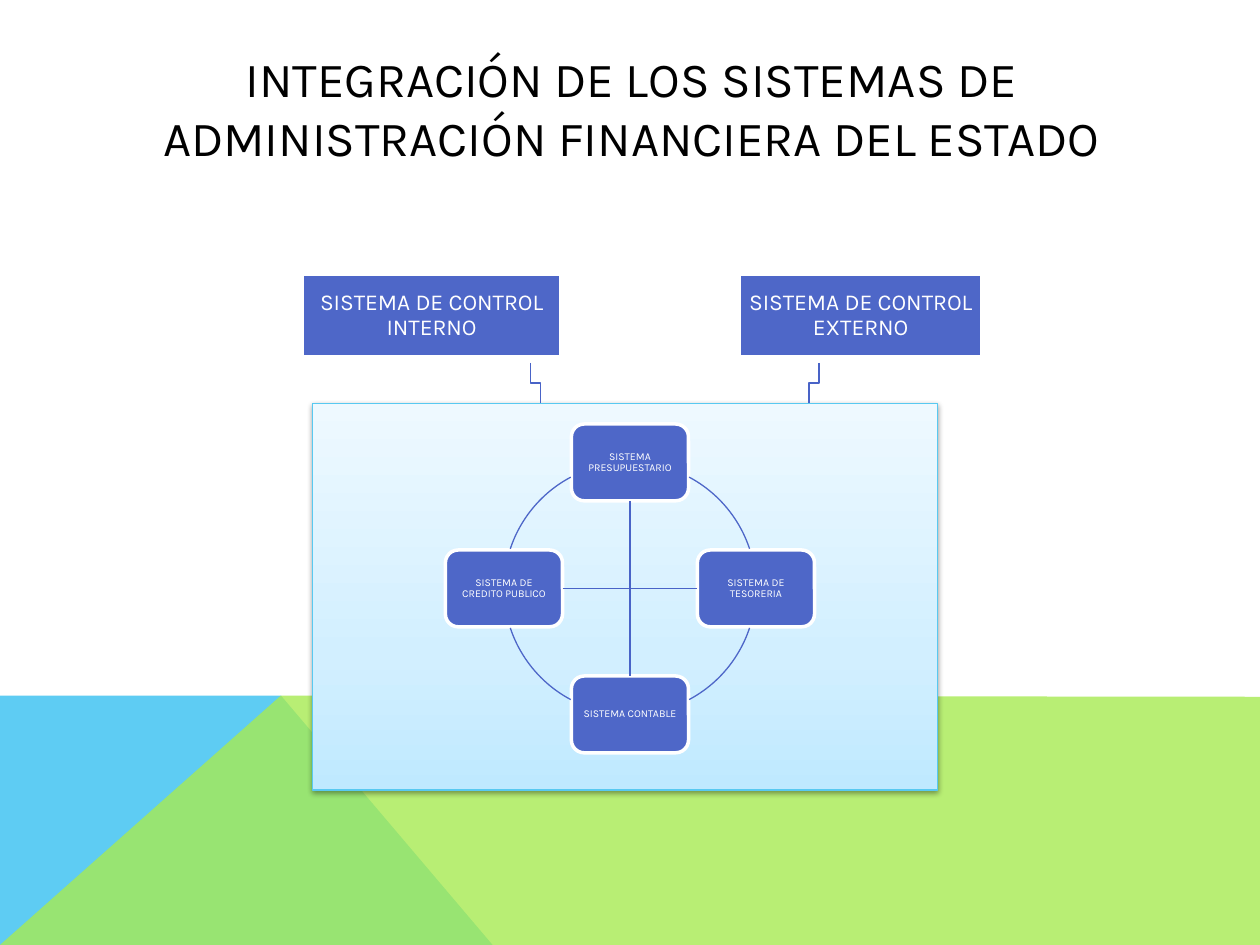
from lxml import etree
from pptx import Presentation
from pptx.dml.color import RGBColor
from pptx.enum.shapes import MSO_CONNECTOR as LINK, MSO_SHAPE as SHAPE
from pptx.enum.text import MSO_ANCHOR as ANCHOR, PP_ALIGN as ALIGN
from pptx.oxml import parse_xml
from pptx.oxml.ns import nsdecls, qn
from pptx.util import Inches, Pt

COLORS = {
    "sky": "5ECCF3", "lime": "A7EA52", "panel_edge": "58C9F1",
    "panel_low": "BFE9FF", "panel_mid": "D2EFFF", "panel_top": "EEF9FF",
    "box": "4E67C8", "link": "4963C7", "white": "FFFFFF", "black": "000000",
}


def rgb(name):
    return RGBColor.from_string(COLORS[name])


def write(shape, text, size, color="white", inset=0.05, spacing=0.9):
    """Put centred text into a shape."""
    frame = shape.text_frame
    frame.word_wrap = True
    frame.vertical_anchor = ANCHOR.MIDDLE
    frame.margin_left = frame.margin_right = Inches(inset)
    frame.margin_top = frame.margin_bottom = Inches(inset)
    paragraph = frame.paragraphs[0]
    paragraph.alignment = ALIGN.CENTER
    paragraph.line_spacing = spacing
    run = paragraph.add_run()
    run.text = text
    run.font.name, run.font.size = "Karla", Pt(size)
    run.font.color.rgb = rgb(color)


prs = Presentation()
prs.slide_width, prs.slide_height = Inches(10), Inches(7.5)
shapes = prs.slides.add_slide(prs.slide_layouts[6]).shapes

# Coloured bands along the bottom
bands = [
    ("sky", [(0, 7.5), (0, 5.52), (2.23, 5.52), (3.91, 7.5)]),
    ("lime", [(0, 7.5), (2.23, 5.52), (10, 5.53), (10, 7.5)]),
]
for color, points in bands:
    corners = [(Inches(x), Inches(y)) for x, y in points]
    builder = shapes.build_freeform(*corners[0])
    builder.add_line_segments(corners[1:], close=True)
    band = builder.convert_to_shape()
    band.shadow.inherit = False
    band.fill.solid()
    band.fill.fore_color.rgb = rgb(color)
    band.line.fill.background()
lime_color = band.fill._xPr.find(qn("a:solidFill"))[0]
etree.SubElement(lime_color, qn("a:alpha")).set("val", "80000")

# Panel with gradient and shadow
panel = shapes.add_shape(SHAPE.RECTANGLE, Inches(2.48), Inches(3.2), Inches(4.96), Inches(3.07))
panel.line.color.rgb = rgb("panel_edge")
panel.line.width = Pt(0.75)
stops = "".join(
    f'<a:gs pos="{percent * 1000}"><a:srgbClr val="{COLORS[name]}"/></a:gs>'
    for percent, name in [(0, "panel_low"), (35, "panel_mid"), (100, "panel_top")])
panel_format = panel._element.spPr
panel_format.find(qn("a:prstGeom")).addnext(parse_xml(
    f'<a:gradFill {nsdecls("a")} rotWithShape="1"><a:gsLst>{stops}</a:gsLst>'
    '<a:lin ang="16200000" scaled="0"/></a:gradFill>'))
panel_format.append(parse_xml(
    f'<a:effectLst {nsdecls("a")}><a:outerShdw blurRad="{Pt(3.1)}" dist="{Pt(1.6)}" '
    f'dir="5400000" rotWithShape="0"><a:srgbClr val="{COLORS["black"]}">'
    '<a:alpha val="38000"/></a:srgbClr></a:outerShdw></a:effectLst>'))

title = shapes.add_textbox(Inches(0.9), Inches(0.4), Inches(8.22), Inches(0.91))
write(title, "INTEGRACIÓN DE LOS SISTEMAS DE ADMINISTRACIÓN FINANCIERA DEL ESTADO",
      size=28, color="black", inset=0.1, spacing=1)

# Cycle of four systems, clockwise from the top, then the two control systems
CENTER_X, CENTER_Y, RADIUS = 5, 4.67, 1
NODE_W, NODE_H = 0.93, 0.61
cycle = [
    ("SISTEMA PRESUPUESTARIO", 0, -1),
    ("SISTEMA DE TESORERIA", 1, 0),
    ("SISTEMA CONTABLE", 0, 1),
    ("SISTEMA DE CREDITO PUBLICO", -1, 0),
]
boxes = [
    (SHAPE.ROUNDED_RECTANGLE, text, CENTER_X + dx * RADIUS - NODE_W / 2,
     CENTER_Y + dy * RADIUS - NODE_H / 2, NODE_W, NODE_H, 6)
    for text, dx, dy in cycle
] + [
    (SHAPE.RECTANGLE, "SISTEMA DE CONTROL INTERNO", 2.4, 2.18, 2.05, 0.65, 13),
    (SHAPE.RECTANGLE, "SISTEMA DE CONTROL EXTERNO", 5.87, 2.18, 1.92, 0.65, 13),
]
systems = []
for kind, text, left, top, width, height, size in boxes:
    system = shapes.add_shape(kind, Inches(left), Inches(top), Inches(width), Inches(height))
    system.shadow.inherit = False
    system.fill.solid()
    system.fill.fore_color.rgb = rgb("box")
    system.line.color.rgb = rgb("white")
    system.line.width = Pt(2)
    write(system, text, size)
    systems.append(system)

# Arcs between neighbours; an arc adjustment of 0.6 is one degree
for start, end in [(298, 341.7), (18.3, 62), (118, 161.7), (198.3, 242)]:
    arc = shapes.add_shape(SHAPE.ARC, Inches(CENTER_X - RADIUS), Inches(CENTER_Y - RADIUS),
                           Inches(2 * RADIUS), Inches(2 * RADIUS))
    arc.adjustments[0], arc.adjustments[1] = start * 0.6, end * 0.6
    arc.shadow.inherit = False
    arc.fill.background()
    arc.line.color.rgb = rgb("box")
    arc.line.width = Pt(0.75)

# Elbows from the control systems to the panel, turned to leave vertically
links = []
for begin_x, end_x, turn in [(4.41, 4.09, 270), (6.3, 6.62, 90)]:
    elbow = shapes.add_connector(LINK.ELBOW, Inches(begin_x), Inches(3),
                                 Inches(end_x), Inches(3.08))
    elbow._element.spPr.find(qn("a:xfrm")).set("rot", str(turn * 60000))
    links.append(elbow)

# Cross joining opposite systems
budget, treasury, accounting, credit = systems[:4]
for first, first_side, second, second_side in [(budget, 2, accounting, 0), (credit, 3, treasury, 1)]:
    cross = shapes.add_connector(LINK.STRAIGHT, 0, 0, 0, 0)
    cross.begin_connect(first, first_side)
    cross.end_connect(second, second_side)
    links.append(cross)

for link in links:
    link.line.color.rgb = rgb("link")
    link.line.width = Pt(0.75)
    etree.SubElement(link._element.spPr, qn("a:effectLst"))

prs.save("out.pptx")
